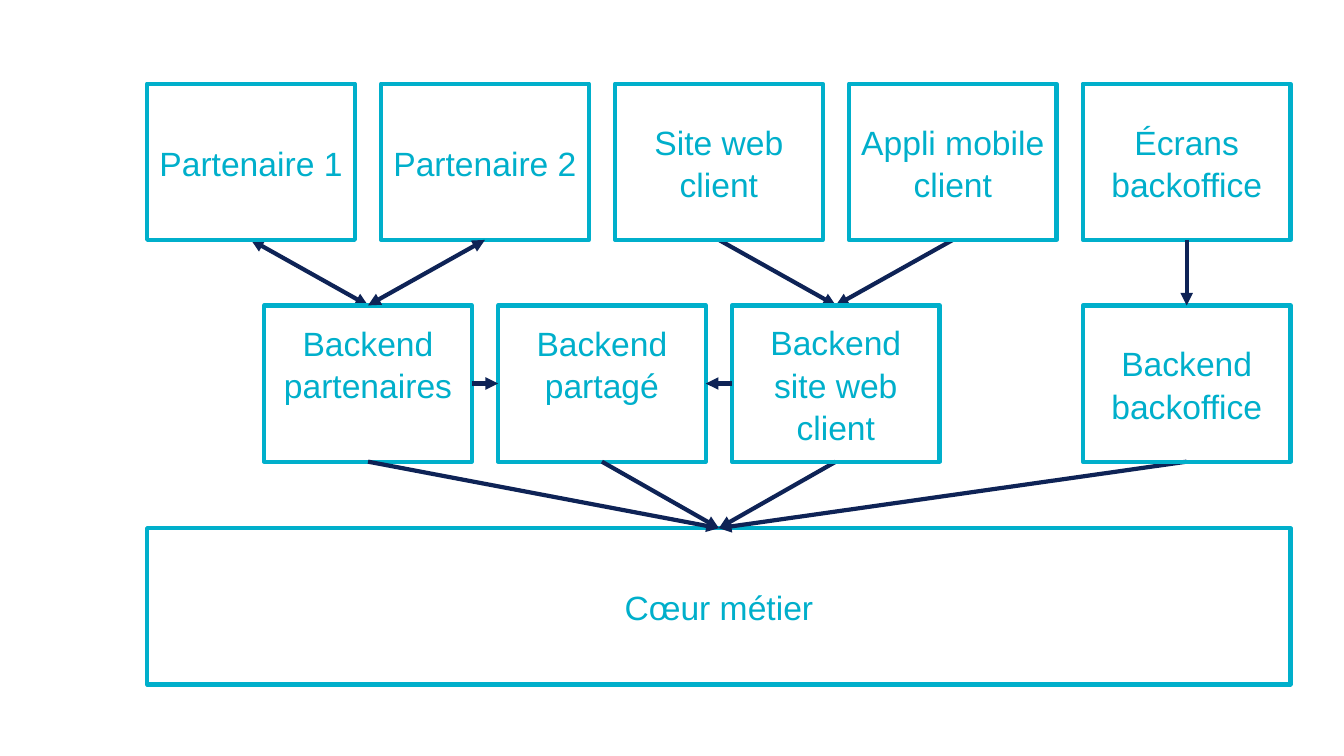
from dataclasses import dataclass

from pptx import Presentation
from pptx.dml.color import RGBColor as Rgb
from pptx.enum.shapes import MSO_CONNECTOR as Wire, MSO_SHAPE as Form
from pptx.enum.text import MSO_ANCHOR as Anchor, PP_ALIGN as Align
from pptx.oxml.ns import qn
from pptx.oxml.xmlchemy import OxmlElement as Node
from pptx.util import Pt


@dataclass(frozen=True)
class Theme:
    cyan: Rgb = Rgb(0x00, 0xAF, 0xCB)
    navy: Rgb = Rgb(0x0E, 0x23, 0x56)
    font: str = "Arial"
    size: int = 24
    lead: float = 1.05
    line: int = 3


THEME = Theme()
SCALE = 9144
TOP, LEFT, BOTTOM, RIGHT = range(4)
EDGE, STEP, WIDE, HIGH = 146, 232, 206, 155
FRONT_Y, BACK_Y, CORE_Y = 83, 303, 524
INSET, LIFTED = 5, 46


def px(n):
    return n * SCALE


def add_box(slide, text, x, y, width=WIDE, inset=INSET):
    box = slide.shapes.add_shape(Form.RECTANGLE, px(x), px(y), px(width), px(HIGH))
    box.shadow.inherit = False
    box.fill.background()
    box.line.color.rgb = THEME.cyan
    box.line.width = Pt(THEME.line)
    frame = box.text_frame
    frame.word_wrap = True
    frame.vertical_anchor = Anchor.MIDDLE
    frame.margin_bottom = px(inset)
    para = frame.paragraphs[0]
    para.text = text
    para.alignment = Align.CENTER
    para.line_spacing = THEME.lead
    para.font.name = THEME.font
    para.font.size = Pt(THEME.size)
    para.font.color.rgb = THEME.cyan
    return box


def add_arrow(slide, start, end, sides=(BOTTOM, TOP), both=False, behind=False):
    arrow = slide.shapes.add_connector(Wire.STRAIGHT, 0, 0, 0, 0)
    arrow.begin_connect(start, sides[0])
    arrow.end_connect(end, sides[1])
    arrow.line.color.rgb = THEME.navy
    arrow.line.width = Pt(THEME.line)
    props = arrow._element.spPr
    for tag in ("a:headEnd", "a:tailEnd") if both else ("a:tailEnd",):
        tip = Node(tag)
        tip.set("type", "triangle")
        props.find(qn("a:ln")).append(tip)
    props.append(Node("a:effectLst"))
    if behind:
        slide.shapes[0]._element.addnext(arrow._element)


def main():
    deck = Presentation()
    deck.slide_width, deck.slide_height = px(1333), px(750)
    slide = deck.slides.add_slide(deck.slide_layouts[6])

    core = add_box(slide, "Cœur métier", EDGE, CORE_Y, 4 * STEP + WIDE)
    names = ("Partenaire 1", "Partenaire 2", "Site web client",
             "Appli mobile client", "Écrans backoffice")
    first, second, site, mobile, screens = [
        add_box(slide, name, EDGE + i * STEP, FRONT_Y)
        for i, name in enumerate(names)]
    backs = (("Backend partenaires", 0.5, LIFTED), ("Backend partagé", 1.5, LIFTED),
             ("Backend site web client", 2.5, INSET), ("Backend backoffice", 4, INSET))
    partner, shared, web, office = [
        add_box(slide, name, EDGE + int(col * STEP), BACK_Y, inset=inset)
        for name, col, inset in backs]

    add_arrow(slide, first, partner, both=True, behind=True)
    add_arrow(slide, second, partner, both=True)
    for start, end in ((mobile, web), (site, web), (web, core), (office, core)):
        add_arrow(slide, start, end, behind=True)
    for start, end in ((screens, office), (partner, core), (shared, core)):
        add_arrow(slide, start, end)
    add_arrow(slide, partner, shared, (RIGHT, LEFT))
    add_arrow(slide, web, shared, (LEFT, RIGHT))

    deck.save("out.pptx")


if __name__ == "__main__":
    main()
